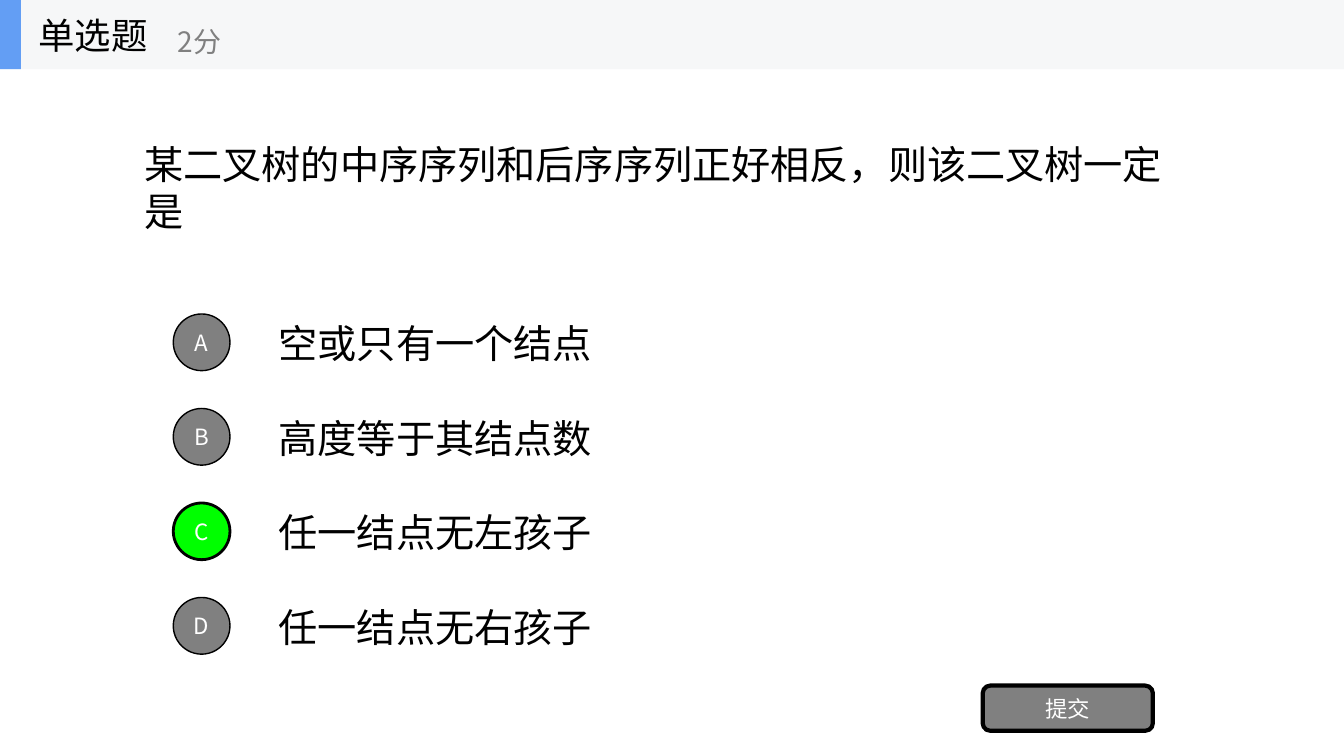
"""Build a single-choice quiz slide about binary tree traversals."""
from lxml import etree
from pptx import Presentation
from pptx.dml.color import RGBColor
from pptx.enum.shapes import MSO_SHAPE
from pptx.enum.text import MSO_ANCHOR, PP_ALIGN
from pptx.oxml.ns import qn
from pptx.util import Pt

QUESTION = "某二叉树的中序序列和后序序列正好相反，则该二叉树一定是"
OPTIONS = [
    ("A", "空或只有一个结点"),
    ("B", "高度等于其结点数"),
    ("C", "任一结点无左孩子"),
    ("D", "任一结点无右孩子"),
]
ANSWER = "C"
QUESTION_TYPE = "单选题"
SCORE = "2分"
SUBMIT = "提交"

PX = 9525
SLIDE_WIDTH, SLIDE_HEIGHT = 1280, 720
HEADER_HEIGHT = 66
OPTION_TOP, OPTION_HEIGHT, OPTION_STEP = 293, 67, 90
BADGE_LEFT, BADGE_SIZE = 165, 54

BODY_FONT = "Calibri"
LABEL_FONT = "Noto Sans CJK SC"
BLACK = RGBColor(0x00, 0x00, 0x00)
WHITE = RGBColor(0xFF, 0xFF, 0xFF)
GRAY = RGBColor(0x80, 0x80, 0x80)
GREEN = RGBColor(0x00, 0xFF, 0x00)
BLUE = RGBColor(0x63, 0x9E, 0xF4)
PALE = RGBColor(0xF6, 0xF7, 0xF8)

RECTANGLE = MSO_SHAPE.RECTANGLE
ROUNDED = MSO_SHAPE.ROUNDED_RECTANGLE
OVAL = MSO_SHAPE.OVAL
MIDDLE = MSO_ANCHOR.MIDDLE
LEFT, CENTER = PP_ALIGN.LEFT, PP_ALIGN.CENTER


def write_text(shape, text, size=28, font=BODY_FONT, color=BLACK, align=LEFT, wrap=True):
    frame = shape.text_frame
    frame.word_wrap = wrap
    frame.vertical_anchor = MIDDLE
    paragraph = frame.paragraphs[0]
    paragraph.alignment = align
    run = paragraph.add_run()
    run.text = text
    run.font.size = Pt(size)
    run.font.name = font
    run.font.color.rgb = color
    east_asian = etree.Element(qn("a:ea"), typeface=font)
    run.font._element.find(qn("a:latin")).addnext(east_asian)


def add_text(slide, box, text, **text_format):
    shape = slide.shapes.add_textbox(*(value * PX for value in box))
    write_text(shape, text, **text_format)


def add_block(slide, kind, box, fill, line_width=0):
    shape = slide.shapes.add_shape(kind, *(value * PX for value in box))
    shape.shadow.inherit = False
    shape.fill.solid()
    shape.fill.fore_color.rgb = fill
    if line_width:
        shape.line.color.rgb = BLACK
        shape.line.width = Pt(line_width)
    else:
        shape.line.fill.background()
    return shape


def add_button(slide, kind, box, text, fill, line_width):
    button = add_block(slide, kind, box, fill, line_width)
    frame = button.text_frame
    frame.margin_left = frame.margin_right = 0
    frame.margin_top = frame.margin_bottom = 0
    write_text(button, text, size=16, font=LABEL_FONT, color=WHITE, align=CENTER)


def add_header(slide):
    add_block(slide, RECTANGLE, (0, 0, SLIDE_WIDTH, HEADER_HEIGHT), PALE)
    add_block(slide, RECTANGLE, (0, 0, 20, HEADER_HEIGHT), BLUE)
    add_text(slide, (27, 0, 200, HEADER_HEIGHT), QUESTION_TYPE,
             size=26, font=LABEL_FONT, wrap=False)
    add_text(slide, (160, 12, 240, 54), SCORE,
             size=20, font=LABEL_FONT, color=GRAY, wrap=False)


def add_options(slide):
    for index, (letter, answer) in enumerate(OPTIONS):
        top = OPTION_TOP + index * OPTION_STEP
        add_text(slide, (256, top, 896, OPTION_HEIGHT), answer)
        badge_top = top + (OPTION_HEIGHT - BADGE_SIZE) // 2
        correct = letter == ANSWER
        add_button(slide, OVAL, (BADGE_LEFT, badge_top, BADGE_SIZE, BADGE_SIZE), letter,
                   GREEN if correct else GRAY, 2 if correct else 1)


def main():
    presentation = Presentation()
    presentation.slide_width = SLIDE_WIDTH * PX
    presentation.slide_height = SLIDE_HEIGHT * PX
    slide = presentation.slides.add_slide(presentation.slide_layouts[6])
    add_text(slide, (128, HEADER_HEIGHT, 1024, 225), QUESTION)
    add_options(slide)
    add_button(slide, ROUNDED, (936, 653, 162, 43), SUBMIT, GRAY, 3)
    add_header(slide)
    presentation.save("out.pptx")


if __name__ == "__main__":
    main()
